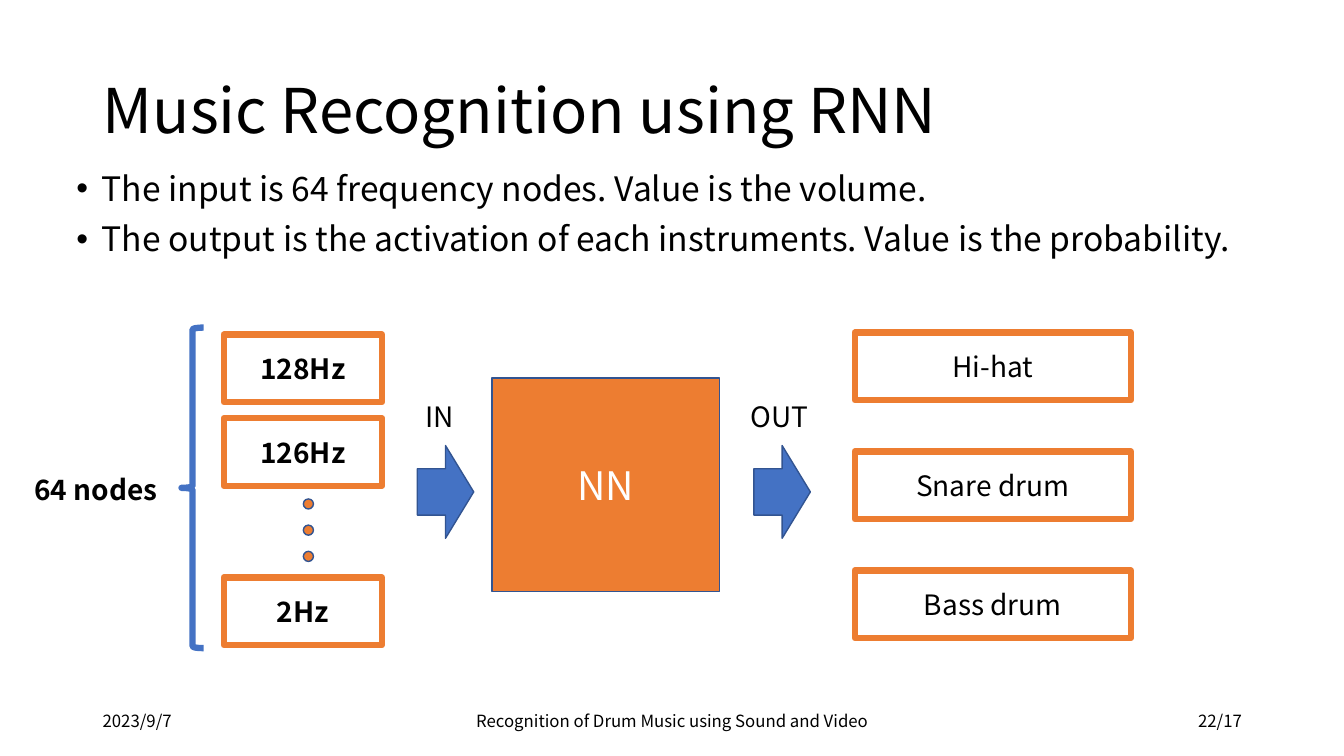
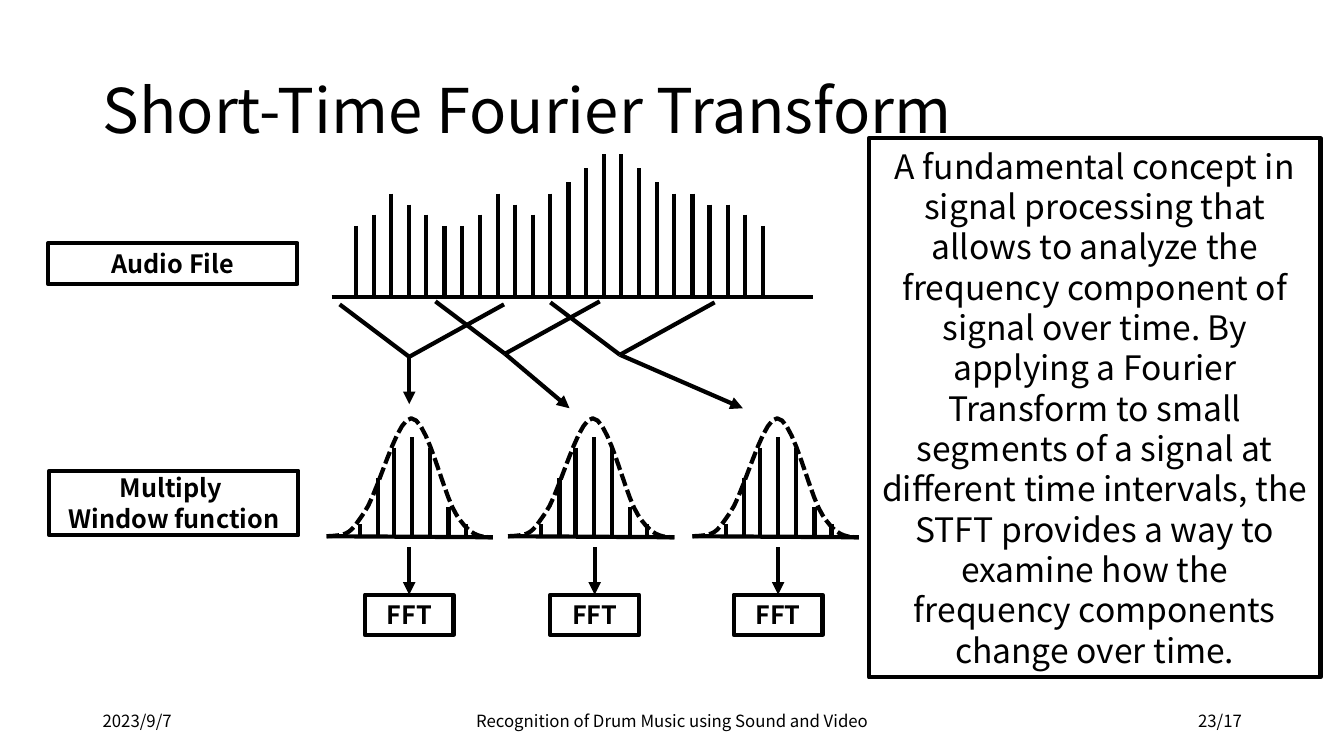
from lxml import etree
from pptx import Presentation
from pptx.dml.color import RGBColor
from pptx.enum.dml import MSO_LINE
from pptx.enum.shapes import MSO_CONNECTOR, MSO_SHAPE
from pptx.enum.text import MSO_ANCHOR, PP_ALIGN
from pptx.oxml.ns import qn
from pptx.util import Emu, Pt

RECT, OVAL = MSO_SHAPE.RECTANGLE, MSO_SHAPE.OVAL
ARROW, BRACE = MSO_SHAPE.RIGHT_ARROW, MSO_SHAPE.LEFT_BRACE
STRAIGHT, DASH = MSO_CONNECTOR.STRAIGHT, MSO_LINE.SQUARE_DOT
LEFT, CENTER, RIGHT = PP_ALIGN.LEFT, PP_ALIGN.CENTER, PP_ALIGN.RIGHT
TOP, MIDDLE = MSO_ANCHOR.TOP, MSO_ANCHOR.MIDDLE

FONT = "Noto Sans CJK JP"
COLORS = {"black": "000000", "white": "FFFFFF", "orange": "ED7D31",
          "blue": "4472C4", "navy": "325491"}
SCALE = 9144  # EMU per px, 100 px to the inch
RULE = 3  # line width in points on the transform slide


def px(n):
    return Emu(round(n * SCALE))


def rgb(name):
    return RGBColor.from_string(COLORS[name])


# Shared building blocks
def write(sp, paras, size, color="black", bold=False, align=LEFT,
          anchor=TOP, spacing=None, before=0, bullet=False):
    tf = sp.text_frame
    tf.word_wrap = True
    tf.vertical_anchor = anchor
    for i, text in enumerate(paras):
        p = tf.add_paragraph() if i else tf.paragraphs[0]
        p.alignment = align
        if spacing:
            p.line_spacing = spacing
        if i and before:
            p.space_before = Pt(before)
        if bullet:
            pPr = p._p.get_or_add_pPr()
            pPr.set("marL", str(px(25)))
            pPr.set("indent", str(-px(25)))
            etree.SubElement(pPr, qn("a:buFont"), typeface="Arial")
            etree.SubElement(pPr, qn("a:buChar"), char="•")
        r = p.add_run()
        r.text = text
        r.font.name = FONT
        r.font.size = Pt(size)
        r.font.bold = bold
        r.font.color.rgb = rgb(color)


def textbox(s, box, paras, size, **style):
    sp = s.shapes.add_textbox(*map(px, box))
    write(sp, paras, size, **style)


def paint(sp, fill, line, width):
    sp.shadow.inherit = False
    if fill:
        sp.fill.solid()
        sp.fill.fore_color.rgb = rgb(fill)
    else:
        sp.fill.background()
    sp.line.color.rgb = rgb(line)
    sp.line.width = Pt(width)


def shape(s, kind, box, fill, line, width):
    sp = s.shapes.add_shape(kind, *map(px, box))
    paint(sp, fill, line, width)
    return sp


def label_box(s, box, paras, size, fill="white", line="black", width=RULE,
              **style):
    sp = shape(s, RECT, box, fill, line, width)
    write(sp, paras, size, align=CENTER, anchor=MIDDLE, **style)
    return sp


def segment(s, start, end, head=False):
    c = s.shapes.add_connector(STRAIGHT, *map(px, start + end))
    c.line.color.rgb = rgb("black")
    c.line.width = Pt(RULE)
    if head:
        etree.SubElement(c.line._get_or_add_ln(), qn("a:tailEnd"),
                         type="triangle")
    etree.SubElement(c._element.spPr, qn("a:effectLst"))
    return c


def base_slide(prs, title, page):
    s = prs.slides.add_slide(prs.slide_layouts[6])
    textbox(s, (92, 40, 1150, 145), [title], 44, anchor=MIDDLE, spacing=0.9)
    footers = [(92, 300, "2023/9/7", LEFT),
               (442, 450, "Recognition of Drum Music using Sound and Video", CENTER),
               (942, 300, page, RIGHT)]
    for x, w, text, align in footers:
        textbox(s, (x, 695, w, 40), [text], 12, align=align, anchor=MIDDLE)
    return s


# Network slide regions
def input_nodes(s, x, y):
    textbox(s, (x, y + 139, 145, 44), ["64 nodes"], 20, bold=True)
    shape(s, BRACE, (x + 156, y, 22, 318), None, "blue", 4.5)
    for dy, text in [(7, "128Hz"), (90, "126Hz"), (248, "2Hz")]:
        label_box(s, (x + 198, y + dy, 157, 67), [text], 20,
                  line="orange", width=4.5, bold=True)
    for i in range(3):
        shape(s, OVAL, (x + 277, y + 170 + 26 * i, 10, 10), "orange", "navy", 1)


def flow_arrow(s, x, y, text, dx):
    textbox(s, (x + dx, y, 81, 44), [text], 20)
    shape(s, ARROW, (x, y + 51, 56, 92), "blue", "navy", 1)


def output_nodes(s, x, y):
    for i, text in enumerate(["Hi-hat", "Snare drum", "Bass drum"]):
        label_box(s, (x, y + 118 * i, 274, 67), [text], 20,
                  line="orange", width=4.5)


def network_slide(prs):
    s = base_slide(prs, "Music Recognition using RNN", "22/17")
    textbox(s, (66, 166, 1202, 125),
            ["The input is 64 frequency nodes. Value is the volume.",
             "The output is the activation of each instruments. "
             "Value is the probability."],
            24, spacing=0.9, before=10, bullet=True)
    input_nodes(s, 24, 325)
    flow_arrow(s, 414, 391, "IN", -2)
    label_box(s, (488, 375, 226, 212), ["NN"], 28, fill="orange",
              line="navy", width=1, color="white")
    flow_arrow(s, 748, 391, "OUT", -13)
    output_nodes(s, 848, 330)


# Transform slide regions
def audio_signal(s, x, base):
    heights = [71, 82, 103, 92, 82, 71, 71, 82, 103, 92, 82, 103,
               114, 128, 142, 142, 128, 114, 103, 103, 92, 92, 82, 71]
    segment(s, (x, base), (x + 478, base))
    step = 404 / (len(heights) - 1)
    for i, h in enumerate(heights):
        bar_x = x + 24 + round(i * step)
        segment(s, (bar_x, base - h), (bar_x, base))


def frame_merge(s, x, y, tip):
    """Two edges of a frame meet, then point to its window."""
    apex = (x + 69, y + 52)
    segment(s, (x, y), apex)
    segment(s, (x + 163, y), apex)
    segment(s, apex, tip, head=True)


def bezier(a, b, c, d, steps=10):
    for i in range(1, steps + 1):
        t = i / steps
        u = 1 - t
        yield tuple(u**3 * m + 3 * u * u * t * n + 3 * u * t * t * o + t**3 * q
                    for m, n, o, q in zip(a, b, c, d))


def window_curve(s, x, y):
    knots = [(0, 117), (23, 116), (23, 114), (37, 94), (51, 75), (69, 0),
             (84, 0), (100, 0), (116, 77), (129, 96), (142, 116), (151, 118),
             (165, 118)]
    points = [pt for i in range(0, len(knots) - 1, 3)
              for pt in bezier(*knots[i:i + 4])]
    fb = s.shapes.build_freeform(px(x), px(y + 117))
    fb.add_line_segments([(px(x + a), px(y + b)) for a, b in points], close=False)
    sp = fb.convert_to_shape()
    paint(sp, None, "black", RULE)
    sp.line.dash_style = DASH


def window_fft(s, x, y, stem):
    window_curve(s, x, y)
    segment(s, (x, y + 117), (x + 165, y + 118))
    bars = [(33, 105), (51, 59), (67, 29), (85, 19), (103, 29), (121, 88), (138, 105)]
    for dx, dy in bars:
        segment(s, (x + dx, y + dy), (x + dx, y + 116))
    fft = label_box(s, (stem - 44, y + 175, 88, 40), ["FFT"], 18,
                    fill=None, bold=True)
    c = segment(s, (stem, y + 128), (stem, y + 175), head=True)
    c.end_connect(fft, 0)


def transform_slide(prs):
    s = base_slide(prs, "Short-Time Fourier Transform", "23/17")
    audio_signal(s, 329, 295)
    for x, y, tip in [(337, 302, (406, 401)), (432, 299, (565, 405)),
                      (546, 300, (737, 405))]:
        frame_merge(s, x, y, tip)
    for x, stem in [(324, 406), (504, 590), (687, 772)]:
        window_fft(s, x, 415, stem)
    label_box(s, (48, 241, 247, 41), ["Audio File"], 18, bold=True)
    label_box(s, (49, 467, 247, 64), ["Multiply ", "Window function"], 18,
              bold=True)
    label_box(s, (862, 137, 448, 535),
              ["A fundamental concept in signal processing that allows to "
               "analyze the frequency component of signal over time. By "
               "applying a Fourier Transform to small segments of a signal at "
               "different time intervals, the STFT provides a way to examine "
               "how the frequency components change over time."], 24)


def main():
    prs = Presentation()
    prs.slide_width, prs.slide_height = px(1333.33), px(750)
    network_slide(prs)
    transform_slide(prs)
    prs.save("out.pptx")


if __name__ == "__main__":
    main()
